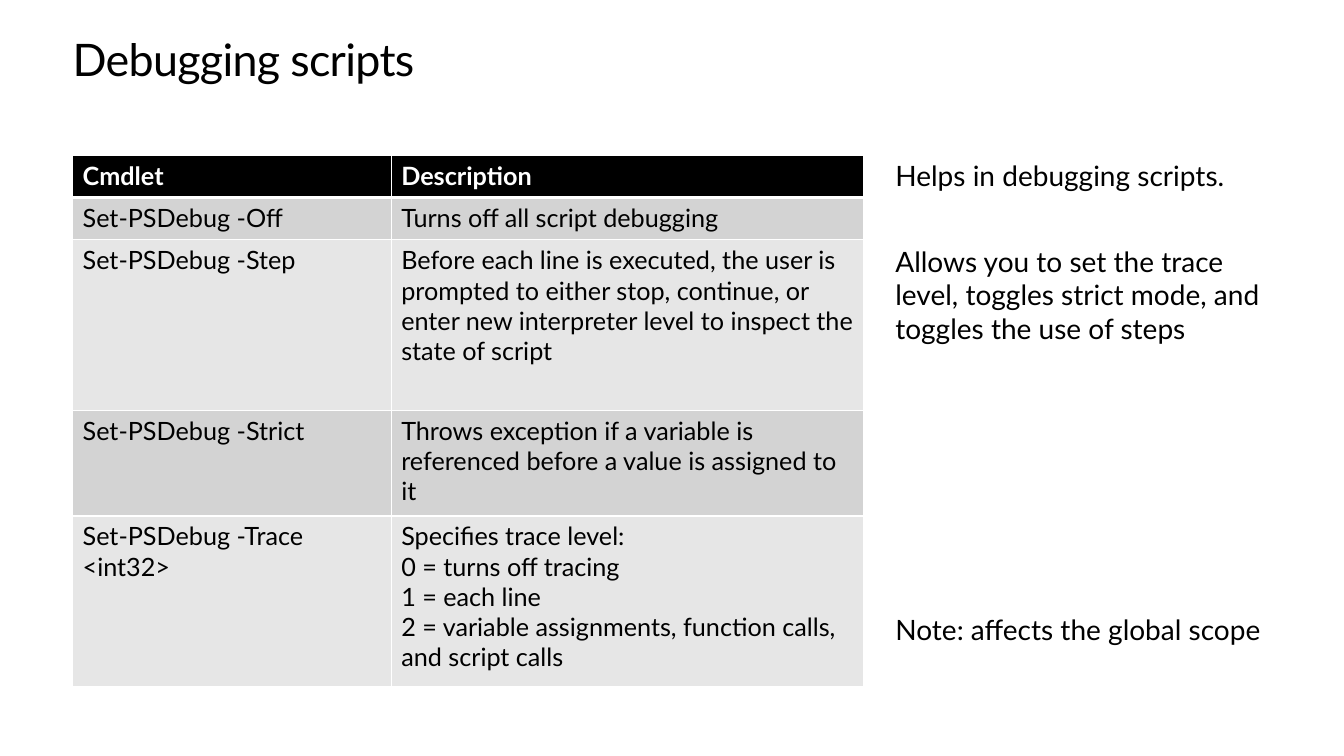
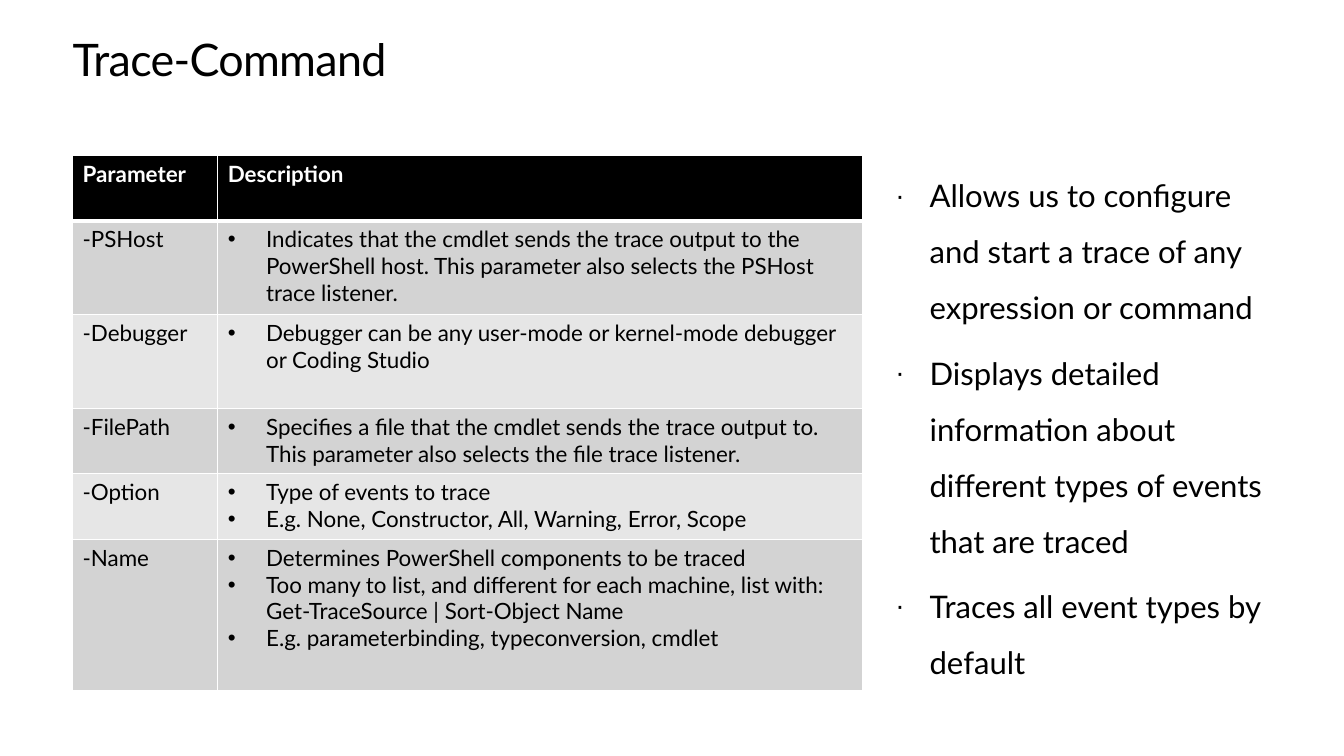
from lxml.etree import SubElement
from pptx import Presentation
from pptx.dml.color import RGBColor
from pptx.enum.text import MSO_ANCHOR as Anchor, MSO_AUTO_SIZE as AutoSize, PP_ALIGN as Align
from pptx.oxml.ns import qn
from pptx.util import Inches, Pt

# Shared style
FONT = "Lato"
BLACK = RGBColor(0x00, 0x00, 0x00)
WHITE = RGBColor(0xFF, 0xFF, 0xFF)
DARK_BAND = RGBColor(0xD3, 0xD3, 0xD3)
LIGHT_BAND = RGBColor(0xE6, 0xE6, 0xE6)
LEFT = Inches(0.72)
SPACE_BEFORE = 6.7

# Slide content: each description is a list of paragraphs
DEBUG_ROWS = [
    ("Cmdlet", ["Description"]),
    ("Set-PSDebug -Off", ["Turns off all script debugging"]),
    ("Set-PSDebug -Step", ["Before each line is executed, the user is prompted to either stop, "
                           "continue, or enter new interpreter level to inspect the state of script"]),
    ("Set-PSDebug -Strict", ["Throws exception if a variable is referenced before a value "
                             "is assigned to it"]),
    ("Set-PSDebug -Trace <int32>", ["Specifies trace level:", "0 = turns off tracing", "1 = each line",
                                    "2 = variable assignments, function calls, and script calls"]),
]
# Each note with the space above it, in points
DEBUG_NOTES = [
    ("Helps in debugging scripts.", SPACE_BEFORE),
    ("Allows you to set the trace level, toggles strict mode, and toggles the use of steps", 37.4),
    ("Note: affects the global scope", 191),
]
TRACE_ROWS = [
    ("Parameter", ["Description"]),
    ("-PSHost", ["Indicates that the cmdlet sends the trace output to the PowerShell host. "
                 "This parameter also selects the PSHost trace listener."]),
    ("-Debugger", ["Debugger can be any user-mode or kernel-mode debugger or Coding Studio"]),
    ("-FilePath", ["Specifies a file that the cmdlet sends the trace output to. "
                   "This parameter also selects the file trace listener."]),
    ("-Option", ["Type of events to trace", "E.g. None, Constructor, All, Warning, Error, Scope"]),
    ("-Name", ["Determines PowerShell components to be traced",
               "Too many to list, and different for each machine, list with:\v"
               "Get-TraceSource | Sort-Object Name",
               "E.g. parameterbinding, typeconversion, cmdlet"]),
]
TRACE_NOTES = [(text, SPACE_BEFORE) for text in (
    "Allows us to configure and start a trace of any expression or command",
    "Displays detailed information about different types of events that are traced",
    "Traces all event types by default",
)]


def style_runs(para, size, color=BLACK, bold=False):
    for span in para.runs:
        font = span.font
        font.name, font.size, font.bold = FONT, Pt(size), bold
        font.color.rgb = color


def set_bullet(para, char=None, indent=0, percent=100):
    """Give the paragraph a hanging bullet, or none when char is missing."""
    props = para._p.get_or_add_pPr()
    props.set("marL", str(Inches(indent)))
    props.set("indent", str(-Inches(indent)))
    if char is None:
        SubElement(props, qn("a:buNone"))
        return
    color = SubElement(props, qn("a:buClr"))
    SubElement(color, qn("a:srgbClr"), val=str(BLACK))
    SubElement(props, qn("a:buSzPct"), val=str(percent * 1000))
    SubElement(props, qn("a:buFont"), typeface="Arial")
    SubElement(props, qn("a:buChar"), char=char)


def place(box, left, top, width, height):
    box.left, box.top, box.width, box.height = left, top, width, height
    frame = box.text_frame
    frame.margin_left = frame.margin_right = frame.margin_top = frame.margin_bottom = 0
    frame.vertical_anchor = Anchor.TOP
    frame.word_wrap = True
    return frame


def add_page(deck, title):
    page = deck.slides.add_slide(deck.slide_layouts.get_by_name("Title and Content"))
    frame = place(page.shapes.title, LEFT, Inches(0.35), Inches(11.9), Inches(0.5))
    frame.auto_size = AutoSize.SHAPE_TO_FIT_TEXT
    frame.text = title
    para = frame.paragraphs[0]
    para.alignment = Align.LEFT
    para.line_spacing = Pt(36.2)
    style_runs(para, 32)
    for span in para.runs:
        span.font._element.set("spc", "-50")
    return page


def fill_notes(page, notes, size, line_spacing=1.0, **bullet):
    frame = place(page.placeholders[1], Inches(8.88), Inches(1.57), Inches(3.74), Inches(5.28))
    frame.auto_size = AutoSize.NONE
    frame.text = "\n".join(text for text, _ in notes)
    for para, (_, space) in zip(frame.paragraphs, notes):
        para.space_before = Pt(space)
        para.line_spacing = line_spacing
        set_bullet(para, **bullet)
        style_runs(para, size)


def set_borders(cell, row):
    """White rules, with a thick one under the header row."""
    props = cell._tc.get_or_add_tcPr()
    widths = {"lnL": 1, "lnR": 1, "lnT": 3 if row == 1 else 1, "lnB": 3 if row == 0 else 1}
    for tag, width in widths.items():
        line = SubElement(props, qn(f"a:{tag}"), w=str(Pt(width)))
        fill = SubElement(line, qn("a:solidFill"))
        SubElement(fill, qn("a:srgbClr"), val=str(WHITE))


def fill_cell(cell, row, paragraphs, size, bulleted):
    header = row == 0
    set_borders(cell, row)
    cell.fill.solid()
    cell.fill.fore_color.rgb = BLACK if header else DARK_BAND if row % 2 else LIGHT_BAND
    frame = cell.text_frame
    for index, text in enumerate(paragraphs):
        para = frame.add_paragraph() if index else frame.paragraphs[0]
        para.text = text
        if bulleted and not header:
            set_bullet(para, "•", 0.38)
        style_runs(para, size, WHITE if header else BLACK, header)


def add_reference_table(page, rows, widths, heights, size, bulleted=False):
    table = page.shapes.add_table(len(rows), len(widths), LEFT, Inches(1.54),
                                  Inches(sum(widths)), Inches(sum(heights))).table
    for column, width in zip(table.columns, widths):
        column.width = Inches(width)
    for row, ((name, description), height) in enumerate(zip(rows, heights)):
        table.rows[row].height = Inches(height)
        fill_cell(table.cell(row, 0), row, [name], size, False)
        fill_cell(table.cell(row, 1), row, description, size, bulleted)


def main():
    deck = Presentation()
    deck.slide_width, deck.slide_height = Inches(13.33), Inches(7.5)

    # Debugging scripts
    page = add_page(deck, "Debugging scripts")
    fill_notes(page, DEBUG_NOTES, 20)
    add_reference_table(page, DEBUG_ROWS, [3.16, 4.69], [0.42, 0.42, 1.69, 1.05, 1.69], 18)

    # Trace-Command
    page = add_page(deck, "Trace-Command")
    fill_notes(page, TRACE_NOTES, 22.2, 1.5, char="·", indent=0.34, percent=90)
    add_reference_table(page, TRACE_ROWS, [1.44, 6.4], [0.65, 0.93, 0.93, 0.65, 0.65, 1.5], 16,
                        bulleted=True)

    deck.save("out.pptx")


if __name__ == "__main__":
    main()
